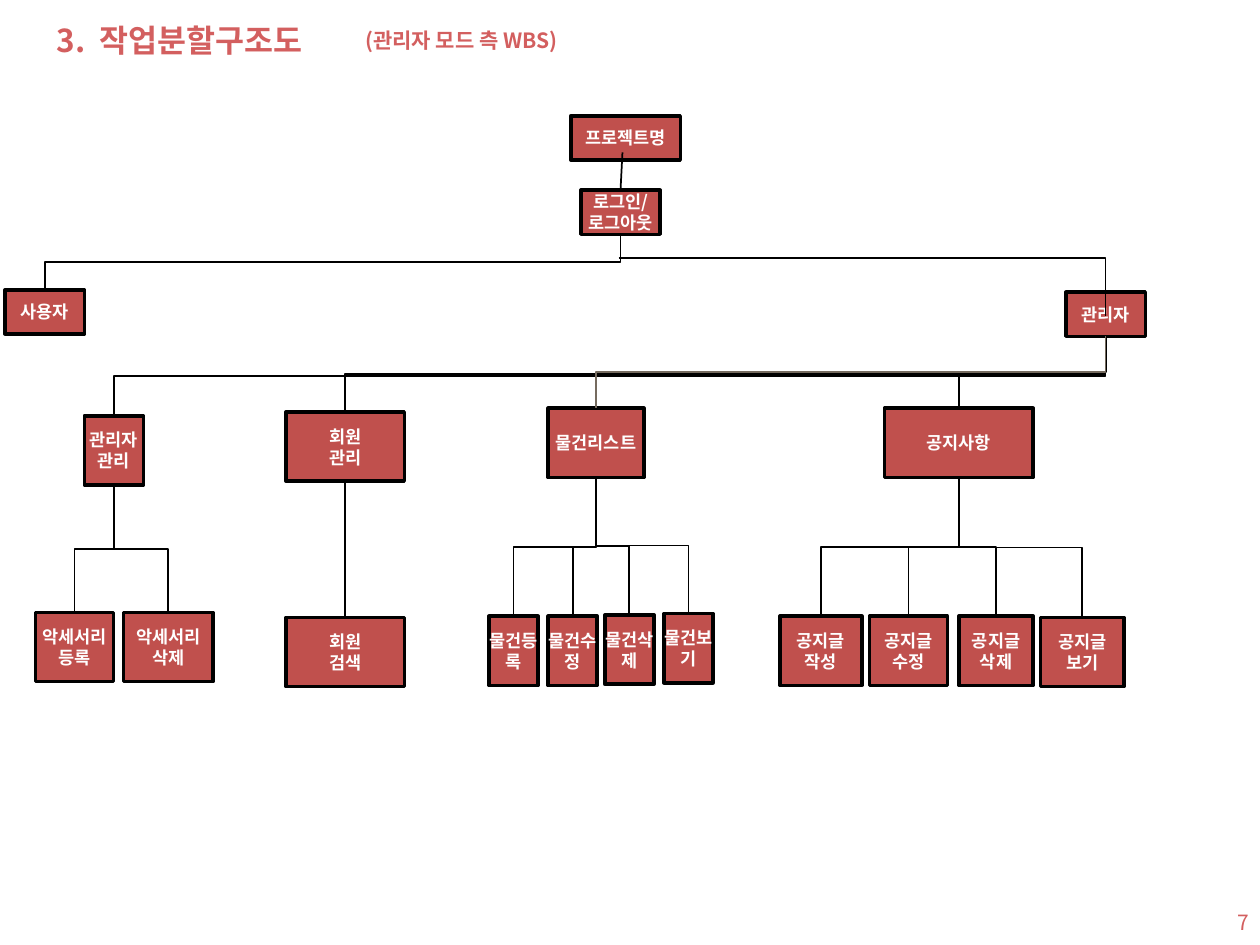
"""Build the work breakdown structure slide for the administrator mode."""
from lxml import etree
from pptx import Presentation
from pptx.dml.color import RGBColor
from pptx.enum import shapes, text
from pptx.oxml import ns
from pptx.util import Pt


def color(value):
    return RGBColor.from_string(value)


class WbsSlide:
    font = "Noto Sans CJK KR"
    accent, fill, ink, paper = "D35F5F", "C0504D", "000000", "FFFFFF"

    def __init__(self, slide):
        self.slide = slide

    def set_text(self, frame, content, size, tint, align, bold=True):
        frame.text = content
        frame.word_wrap = True
        for paragraph in frame.paragraphs:
            paragraph.alignment = align
            font = paragraph.font
            font.size, font.bold, font.name = Pt(size), bold, self.font
            font.color.rgb = color(tint)
            east_asian = etree.SubElement(font._rPr, ns.qn("a:ea"))
            east_asian.set("typeface", self.font)

    def title(self, content, left, top, width, height):
        heading = self.slide.shapes.title
        heading.left, heading.top = Pt(left), Pt(top)
        heading.width, heading.height = Pt(width), Pt(height)
        self.set_text(heading.text_frame, content, 18, self.accent, text.PP_ALIGN.LEFT)
        heading.text_frame.vertical_anchor = text.MSO_ANCHOR.TOP
        heading.text_frame.auto_size = text.MSO_AUTO_SIZE.NONE

    def label(self, content, left, top, width, height, align=text.PP_ALIGN.LEFT,
              anchor=text.MSO_ANCHOR.TOP, bold=True):
        area = self.slide.shapes.add_textbox(Pt(left), Pt(top), Pt(width), Pt(height))
        self.set_text(area.text_frame, content, 12, self.accent, align, bold)
        area.text_frame.vertical_anchor = anchor

    def box(self, content, left, top, width, height=39.6):
        node = self.slide.shapes.add_shape(
            shapes.MSO_SHAPE.RECTANGLE, Pt(left), Pt(top), Pt(width), Pt(height))
        node.shadow.inherit = False
        node.fill.solid()
        node.fill.fore_color.rgb = color(self.fill)
        node.line.color.rgb = color(self.ink)
        node.line.width = Pt(2)
        frame = node.text_frame
        frame.margin_left = frame.margin_right = frame.margin_top = frame.margin_bottom = 0
        frame.vertical_anchor = text.MSO_ANCHOR.MIDDLE
        self.set_text(frame, content, 10, self.paper, text.PP_ALIGN.CENTER)
        return node

    def line(self, kind, x1, y1, x2, y2, tint=ink):
        link = self.slide.shapes.add_connector(kind, Pt(x1), Pt(y1), Pt(x2), Pt(y2))
        link.line.color.rgb = color(tint)
        link.line.width = Pt(1)
        etree.SubElement(link._element.spPr, ns.qn("a:effectLst"))
        return link

    def branch(self, parent, child, tint=ink):
        x1, y1 = parent.left + parent.width // 2, parent.top + parent.height
        x2, y2 = child.left + child.width // 2, child.top
        link = self.line(shapes.MSO_CONNECTOR.ELBOW, 0, 0, 1, 1, tint)
        link.begin_connect(parent, 2)
        link.end_connect(child, 0)
        link.width, link.height = y2 - y1, abs(x2 - x1)
        link.left = (x1 + x2 - link.width) // 2
        link.top = (y1 + y2 - link.height) // 2
        xfrm = link._element.spPr.find(ns.qn("a:xfrm"))
        for flip in ("flipH", "flipV"):
            xfrm.attrib.pop(flip, None)
        xfrm.set("rot", "16200000" if x2 > x1 else "5400000")
        if x2 > x1:
            xfrm.set("flipH", "1")

    def corner(self, x1, y1, x2, y2):
        link = self.line(shapes.MSO_CONNECTOR.ELBOW, x1, y1, x2, y2)
        link._element.spPr.find(ns.qn("a:prstGeom")).set("prst", "bentConnector2")


def main():
    deck = Presentation()
    deck.slide_width, deck.slide_height = Pt(720), Pt(540)
    wbs = WbsSlide(deck.slides.add_slide(deck.slide_layouts[5]))

    wbs.title("3.  작업분할구조도", 25.2, 8.6, 231, 29)
    wbs.label("(관리자 모드 측 WBS)", 201.6, 12.2, 130.3, 21.6)
    wbs.label("7", 553, 512.6, 167.8, 28.8, text.PP_ALIGN.RIGHT,
              text.MSO_ANCHOR.MIDDLE, bold=False)

    wbs.box("프로젝트명", 326.2, 66.2, 62.6, 25.2)
    login = wbs.box("로그인/\n로그아웃", 331.9, 108.7, 45.4, 25.2)
    user = wbs.box("사용자", 2.9, 165.6, 45.4, 25.2)
    admin = wbs.box("관리자", 609.1, 167, 45.4, 25.2)

    project_link = wbs.line(shapes.MSO_CONNECTOR.STRAIGHT, 355.7, 87.1, 354.6, 108.7)
    project_link.end_connect(login, 0)
    wbs.branch(login, user)
    wbs.corner(353.5, 147.6, 631.8, 180.7)

    sections = [
        (("관리자관리", 48.2, 237.6, 33.8), wbs.ink,
         [("악세서리등록", 20.2, 350, 44.6), ("악세서리\n삭제", 70.6, 350, 51.1)]),
        (("회원\n관리", 163.4, 235.4, 67.7), wbs.ink,
         [("회원\n검색", 163.4, 352.8, 67.7)]),
        (("공지사항", 505.4, 233.3, 85), wbs.ink,
         [("공지글\n작성", 445.7, 352.1, 46.8), ("공지글\n수정", 496.8, 352.1, 44.6),
          ("공지글\n삭제", 547.9, 352.1, 42.5), ("공지글\n보기", 594.7, 352.8, 47.5)]),
        (("물건리스트", 313.2, 233.3, 54.7), "756B5F",
         [("물건등록", 279.4, 352.1, 28.1), ("물건수정", 313.2, 352.1, 28.1),
          ("물건삭제", 345.6, 351.4, 28.1), ("물건보기", 379.4, 350.6, 28.1)]),
    ]
    for heading, tint, tasks in sections:
        section = wbs.box(*heading)
        wbs.branch(admin, section, tint)
        for task in tasks:
            wbs.branch(section, wbs.box(*task))

    deck.save("out.pptx")


if __name__ == "__main__":
    main()
